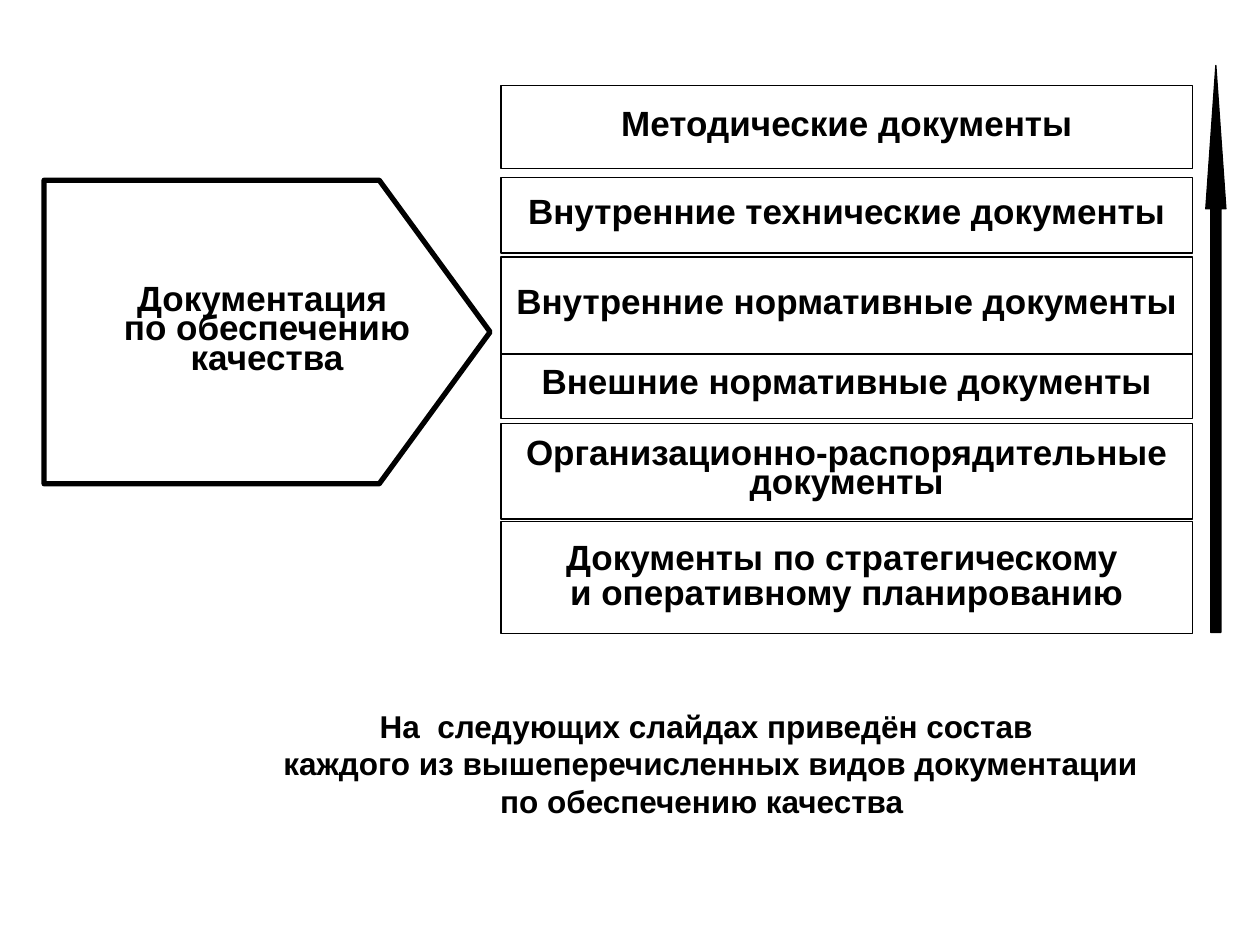
"""Build a slide that lists the levels of quality assurance documentation."""
from pptx import Presentation
from pptx.dml.color import RGBColor
from pptx.enum import shapes, text
from pptx.util import Inches, Pt

COLORS = {"ink": "000000", "paper": "FFFFFF"}

presentation = Presentation()
presentation.slide_width, presentation.slide_height = Inches(10), Inches(7.5)
column = presentation.slide_width / 100
row = presentation.slide_height / 75
slide = presentation.slides.add_slide(presentation.slide_layouts[6])


def paint(shape, fill, line_width):
    shape.shadow.inherit = False
    shape.fill.solid()
    shape.fill.fore_color.rgb = RGBColor.from_string(COLORS[fill])
    shape.line.color.rgb = RGBColor.from_string(COLORS["ink"])
    shape.line.width = Pt(line_width)


def write(shape, lines, size, spacing, anchor=text.MSO_ANCHOR.MIDDLE, wrap=True):
    frame = shape.text_frame
    frame.text = "\n".join(lines)
    frame.word_wrap = wrap
    frame.vertical_anchor = anchor
    for paragraph in frame.paragraphs:
        paragraph.alignment = text.PP_ALIGN.CENTER
        paragraph.line_spacing = spacing
        for run in paragraph.runs:
            run.font.name = "Arial"
            run.font.size = Pt(size)
            run.font.bold = True
            run.font.color.rgb = RGBColor.from_string(COLORS["ink"])


left, shoulder, tip = (round(x * column) for x in (3.5, 30.1, 38.9))
top, middle, bottom = (round(y * row) for y in (14.3, 26.35, 38.4))
builder = slide.shapes.build_freeform(left, top)
builder.add_line_segments([(shoulder, top), (tip, middle), (shoulder, bottom), (left, bottom)])
documentation = builder.convert_to_shape()
paint(documentation, "paper", 3)
write(documentation, ["Документация ", "по обеспечению качества"], 20, 0.7)

levels = [
    (6.8, 6.6, 0.7, ["Методические документы"]),
    (14.1, 6, 0.7, ["Внутренние технические документы"]),
    (20.4, 7.7, 0.7, ["Внутренние нормативные документы"]),
    (28.1, 5.1, 0.7, ["Внешние нормативные документы"]),
    (33.6, 7.6, 0.7, ["Организационно-распорядительные документы"]),
    (41.4, 8.9, Pt(20), ["Документы по стратегическому ", "и оперативному планированию"]),
]
for level_top, height, spacing, lines in levels:
    level = slide.shapes.add_shape(
        shapes.MSO_SHAPE.RECTANGLE,
        round(39.75 * column), round(level_top * row), round(54.9 * column), round(height * row))
    paint(level, "paper", 0.75)
    write(level, lines, 20, spacing)

arrow = slide.shapes.add_shape(
    shapes.MSO_SHAPE.UP_ARROW,
    round(95.7 * column), round(5.2 * row), round(1.6 * column), round(45 * row))
arrow.adjustments[0] = 0.5
arrow.adjustments[1] = 7.12
paint(arrow, "ink", 0.75)

caption = slide.shapes.add_textbox(
    round(21.4 * column), round(55.6 * row), round(70 * column), round(10 * row))
write(caption, [
    "На  следующих слайдах приведён состав ",
    "каждого из вышеперечисленных видов документации",
    "по обеспечению качества  ",
], 18, 1.0, text.MSO_ANCHOR.TOP, False)

presentation.save("out.pptx")
